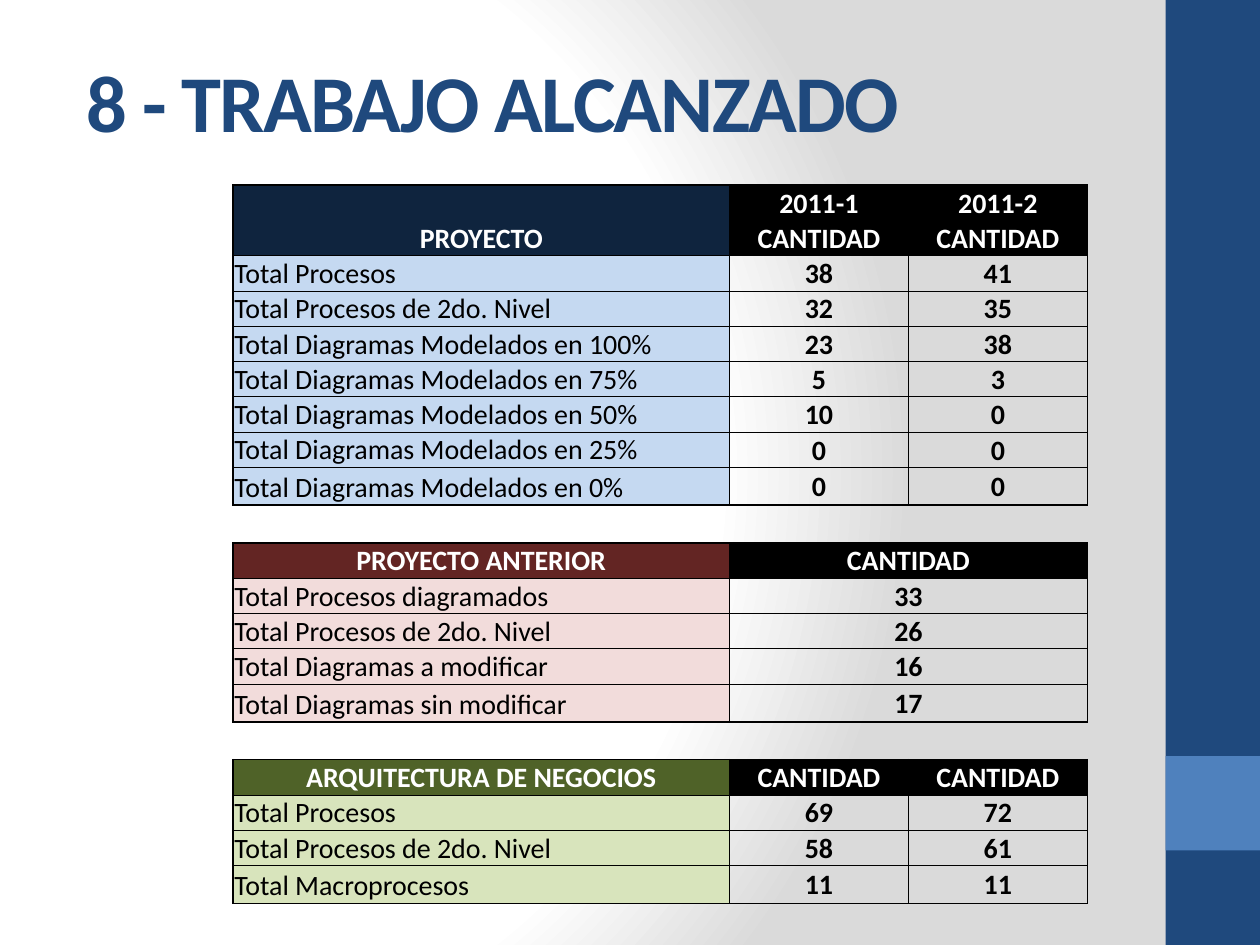
from pptx import Presentation
from pptx.dml.color import RGBColor
from pptx.enum.shapes import MSO_SHAPE
from pptx.enum.text import MSO_ANCHOR, PP_ALIGN
from pptx.oxml import parse_xml
from pptx.oxml.ns import nsdecls
from pptx.util import Inches, Pt

COLORS = {
    "navy": "1F497D", "blue": "4F81BD", "white": "FFFFFF", "grey": "DADADA",
    "black": "000000", "project": "0F243E", "project_light": "C5D9F1",
    "previous": "632523", "previous_light": "F2DCDB",
    "business": "4F6228", "business_light": "D8E4BC",
}
FONT = "Calibri"
TITLE = "8 - TRABAJO ALCANZADO"
SECTIONS = [
    {"color": "project",
     "header": [("PROYECTO", "2011-1", "2011-2"), ("", "CANTIDAD", "CANTIDAD")],
     "rows": [("Total Procesos", "38", "41"),
              ("Total Procesos de 2do. Nivel", "32", "35"),
              ("Total Diagramas Modelados en 100%", "23", "38"),
              ("Total Diagramas Modelados en 75%", "5", "3"),
              ("Total Diagramas Modelados en 50%", "10", "0"),
              ("Total Diagramas Modelados en 25%", "0", "0"),
              ("Total Diagramas Modelados en 0%", "0", "0")]},
    {"color": "previous",
     "header": [("PROYECTO ANTERIOR", "CANTIDAD", "")],
     "rows": [("Total Procesos diagramados", "33", ""),
              ("Total Procesos de 2do. Nivel", "26", ""),
              ("Total Diagramas a modificar", "16", ""),
              ("Total Diagramas sin modificar", "17", "")]},
    {"color": "business",
     "header": [("ARQUITECTURA DE NEGOCIOS", "CANTIDAD", "CANTIDAD")],
     "rows": [("Total Procesos", "69", "72"),
              ("Total Procesos de 2do. Nivel", "58", "61"),
              ("Total Macroprocesos", "11", "11")]},
]
COLUMN_WIDTHS = [3.94, 1.42, 1.42]
ROW_HEIGHT, TALL_ROW_HEIGHT = 0.28, 0.3
CELL_FORMAT = {"margin_left": Inches(0.01), "margin_right": Inches(0.01),
               "margin_top": Inches(0.01), "margin_bottom": 0}


def rgb(name):
    return RGBColor.from_string(COLORS[name])


def set_background(slide):
    stops = "".join(
        f'<a:gs pos="{position * 1000}"><a:srgbClr val="{COLORS[name]}"/></a:gs>'
        for position, name in [(0, "white"), (75, "white"), (100, "grey")])
    slide.element.cSld.insert(0, parse_xml(
        f'<p:bg {nsdecls("p", "a")}><p:bgPr><a:gradFill rotWithShape="1">'
        f'<a:gsLst>{stops}</a:gsLst><a:path path="circle">'
        '<a:fillToRect l="20000" t="50000" r="100000" b="50000"/></a:path>'
        '</a:gradFill><a:effectLst/></p:bgPr></p:bg>'))


def add_band(slide, top, height, color):
    band = slide.shapes.add_shape(MSO_SHAPE.RECTANGLE, Inches(9.25), Inches(top),
                                  Inches(0.75), Inches(height))
    band.shadow.inherit = False
    band.fill.solid()
    band.fill.fore_color.rgb = rgb(color)
    band.line.fill.background()


def write(paragraph, text, size, color, bold):
    run = paragraph.add_run()
    run.text = text
    for name, value in {"name": FONT, "size": Pt(size), "bold": bold}.items():
        setattr(run.font, name, value)
    run.font.color.rgb = rgb(color)
    return run


def add_title(slide):
    box = slide.shapes.add_textbox(Inches(0.59), Inches(0.36), Inches(8.76), Inches(1.09))
    box.text_frame.word_wrap = True
    run = write(box.text_frame.paragraphs[0], TITLE, 46, "navy", True)
    run.font._element.set("spc", "-100")


def set_borders(cell, widths):
    for side, width in zip("LRTB", widths):
        paint = (f'<a:solidFill><a:srgbClr val="{COLORS["black"]}"/></a:solidFill>'
                 if width else "<a:noFill/>")
        cell._tc.get_or_add_tcPr().append(parse_xml(
            f'<a:ln{side} {nsdecls("a")} w="{Pt(width)}">{paint}</a:ln{side}>'))


def set_cell(cell, text, fill, color, bold, align, anchor, borders):
    for name, value in CELL_FORMAT.items():
        setattr(cell, name, value)
    cell.vertical_anchor = anchor
    set_borders(cell, borders)
    if fill:
        cell.fill.solid()
        cell.fill.fore_color.rgb = rgb(fill)
    else:
        cell.fill.background()
    paragraph = cell.text_frame.paragraphs[0]
    paragraph.alignment = align
    if text:
        write(paragraph, text, 16, color, bold)
    else:
        paragraph._p.get_or_add_endParaRPr().set("sz", "1600")


def fill_section(table, top, section):
    lines = section["header"] + section["rows"]
    header_count = len(section["header"])
    if header_count > 1:
        table.cell(top, 0).merge(table.cell(top + header_count - 1, 0))
    for index, line in enumerate(lines):
        if not line[2]:
            table.cell(top + index, 1).merge(table.cell(top + index, 2))
        is_header = index < header_count
        is_last = index == len(lines) - 1
        for column, text in enumerate(line):
            is_label = column == 0
            if is_label:
                fill = section["color"] + ("" if is_header else "_light")
            else:
                fill = "black" if is_header else None
            borders = [1 if edge else 0.5
                       for edge in (is_label, column == 2, index == 0, is_last)]
            set_cell(table.cell(top + index, column), text, fill,
                     "white" if is_header else "black", is_header or not is_label,
                     PP_ALIGN.LEFT if is_label and not is_header else PP_ALIGN.CENTER,
                     MSO_ANCHOR.BOTTOM if is_label else MSO_ANCHOR.MIDDLE, borders)
    return top + len(lines)


def add_results(slide):
    heights = []
    for section in SECTIONS:
        line_count = len(section["header"]) + len(section["rows"])
        heights += [ROW_HEIGHT] * (line_count - 1) + [TALL_ROW_HEIGHT] * 2
    heights.pop()
    table = slide.shapes.add_table(
        len(heights), len(COLUMN_WIDTHS), Inches(1.85), Inches(1.47),
        Inches(sum(COLUMN_WIDTHS)), Inches(sum(heights))).table
    table.first_row = table.horz_banding = False
    for column, width in zip(table.columns, COLUMN_WIDTHS):
        column.width = Inches(width)
    for row, height in zip(table.rows, heights):
        row.height = Inches(height)
    top = 0
    for section in SECTIONS:
        if top:
            for column in range(len(COLUMN_WIDTHS)):
                set_cell(table.cell(top, column), "", None, "black", False,
                         PP_ALIGN.LEFT, MSO_ANCHOR.MIDDLE, [0, 0, 1, 1])
            top += 1
        top = fill_section(table, top, section)


def main():
    presentation = Presentation()
    presentation.slide_width, presentation.slide_height = Inches(10), Inches(7.5)
    slide = presentation.slides.add_slide(presentation.slide_layouts[6])
    set_background(slide)
    add_band(slide, 0, 7.5, "navy")
    add_band(slide, 6, 0.75, "blue")
    add_title(slide)
    add_results(slide)
    presentation.save("out.pptx")


if __name__ == "__main__":
    main()
